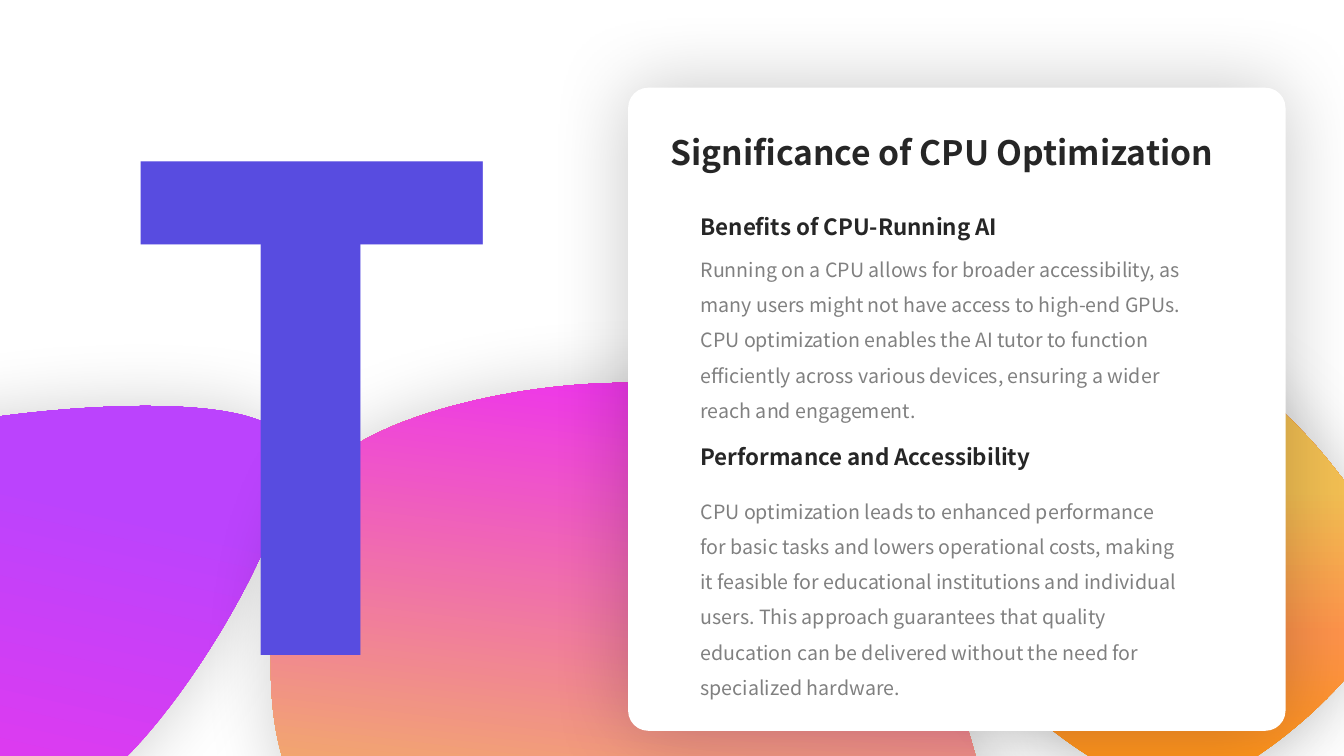
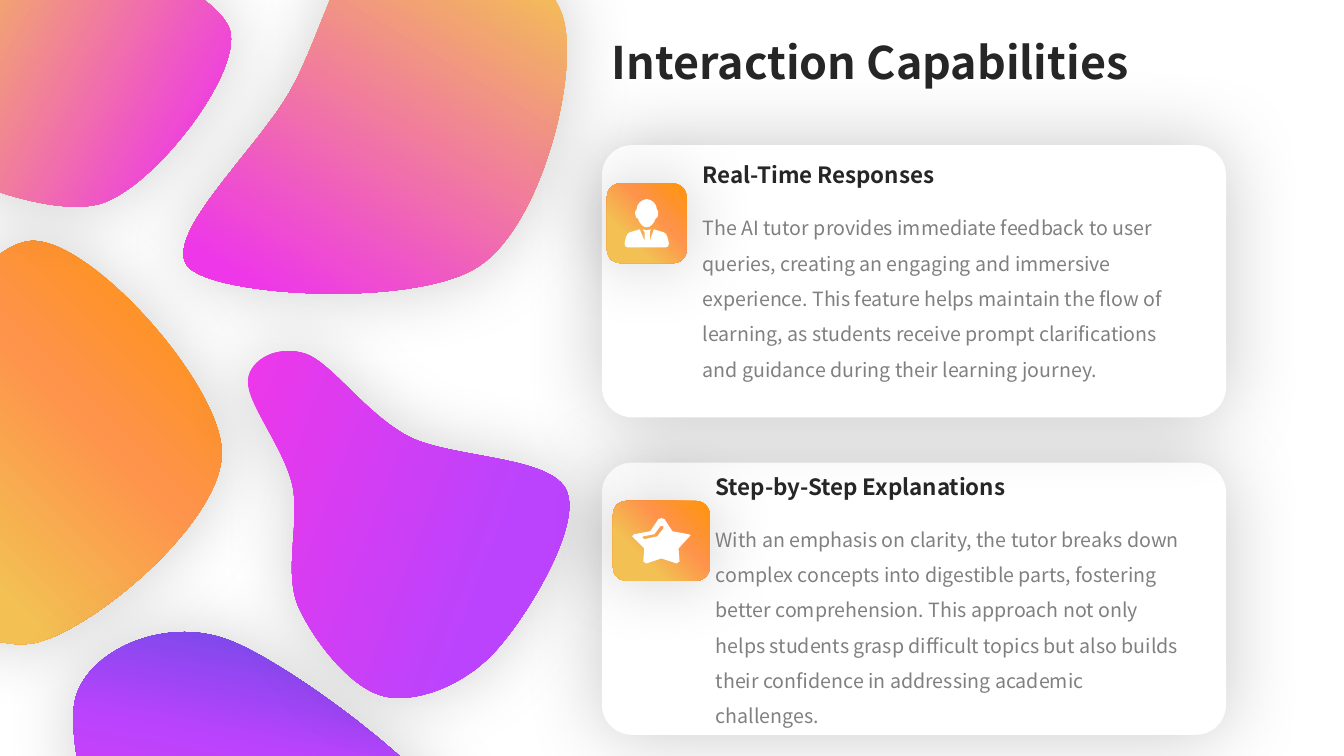
import pptx
import pptx.util
import pptx.dml.color
import pptx.enum.shapes
import pptx.enum.text
import pptx.oxml.ns
import lxml.etree

CELL = pptx.util.Inches(1)
COLS, ROWS = 13.33, 7.5
WHITE, INK, GREY, INDIGO = "FFFFFF", "262626", "808080", "584CE0"
PURPLE, PINK, GOLD = "BB43FD", "EE37E9", "F3C053"
SANS, CONDENSED = "Noto Sans CJK SC", "Roboto Condensed"

ORANGE_STOPS = [(0, "FF9409"), (38, "FE934B"), (71, GOLD)]
SUNSET_STOPS = [(13, GOLD), (88, PINK)]
VIOLET_STOPS = [(0, PINK), (71, PURPLE)]
INDIGO_STOPS = [(0, INDIGO), (41, PURPLE), (86, PINK)]

SOFT_SHADOW, CARD_SHADOW = (18, 51), (22, 58)

TITLE = dict(size=24, color=INK, bold=True)
HEADING = dict(size=16, color=INK, bold=True)
BODY = dict(size=14, color=GREY, spacing=1.5)

PERSON = (44, 48, [
    [(22, 0), (27, 0, 32, 5, 32, 10), (35, 12, 33, 20, 31, 19),
     (29, 25, 25, 28, 22, 28), (19, 28, 15, 25, 13, 19),
     (11, 20, 9, 12, 12, 10), (12, 5, 17, 0, 22, 0)],
    [(15, 30), (20, 42), (20, 33), (18, 30), (20, 31, 24, 31, 26, 30),
     (25, 33), (25, 42), (29, 30), (39, 33), (42, 34, 43, 39, 44, 44),
     (44, 46, 43, 48, 41, 48), (3, 48), (1, 48, 0, 46, 0, 44),
     (1, 39, 2, 34, 5, 33)],
])
STAR = (58, 45, [
    [(58, 17), (56, 16), (40, 13), (32, 1), (29, 0), (26, 1), (18, 13),
     (2, 16), (0, 18), (12, 30), (11, 43), (14, 45), (29, 40), (44, 45),
     (47, 43), (46, 30)],
    [(31, 10), (25, 18), (12, 21), (10, 19), (11, 18), (22, 16), (28, 8),
     (31, 8)],
])

WAVE_BLOBS = [
    ([(-1.49, 4.46), (-0.62, 4.1, 2.44, 3.76, 2.81, 4.34),
      (3.17, 4.91, 1.58, 7.56, 0.71, 7.92),
      (-0.16, 8.28, -2.06, 7.07, -2.44, 6.5),
      (-2.81, 5.92, -2.36, 4.82, -1.49, 4.46)], VIOLET_STOPS, 283),
    ([(6.36, 8.26), (5.22, 8.14, 3.48, 8.51, 2.98, 7.89),
      (2.49, 7.26, 2.6, 5.13, 3.4, 4.5), (4.21, 3.88, 6.75, 3.47, 7.82, 4.15),
      (8.88, 4.84, 10.04, 7.95, 9.79, 8.64),
      (9.55, 9.33, 7.49, 8.39, 6.36, 8.26)], SUNSET_STOPS, 277),
    ([(9.97, 5.82), (10.28, 5.28, 11.18, 3.57, 11.82, 3.57),
      (12.46, 3.57, 13.8, 5.1, 13.81, 5.81),
      (13.82, 6.51, 12.51, 7.63, 11.87, 7.8),
      (11.23, 7.97, 10.28, 7.15, 9.96, 6.82),
      (9.64, 6.5, 9.66, 6.37, 9.97, 5.82)], ORANGE_STOPS, 270),
]
SIDE_BLOBS = [
    ([(-1.4, 4.51), (-1.11, 4, -0.27, 2.39, 0.33, 2.39),
      (0.93, 2.39, 2.2, 3.83, 2.2, 4.49), (2.21, 5.15, 0.98, 6.21, 0.38, 6.37),
      (-0.23, 6.53, -1.12, 5.75, -1.42, 5.45),
      (-1.72, 5.14, -1.69, 5.02, -1.4, 4.51)], ORANGE_STOPS, 135),
    ([(2.27, 6.35), (2.91, 6.59, 4.72, 7.94, 4.63, 8.43),
      (4.54, 8.92, 2.36, 9.55, 1.71, 9.31),
      (1.06, 9.06, 0.65, 7.46, 0.74, 6.97),
      (0.83, 6.47, 1.62, 6.1, 2.27, 6.35)], INDIGO_STOPS, 101),
    ([(-0.99, 1.25), (-1.12, 0.83, -0.28, -0.35, 0.27, -0.51),
      (0.81, -0.67, 2.15, -0.12, 2.28, 0.3), (2.4, 0.72, 1.54, 1.85, 1, 2.02),
      (0.46, 2.18, -0.87, 1.67, -0.99, 1.25)], SUNSET_STOPS, 29),
    ([(2.88, 0.9), (3.21, 0.32, 3.42, -0.7, 3.87, -0.82),
      (4.32, -0.94, 5.44, -0.39, 5.59, 0.19),
      (5.74, 0.76, 5.37, 2.23, 4.75, 2.64), (4.14, 3.05, 2.2, 2.95, 1.88, 2.66),
      (1.57, 2.37, 2.55, 1.49, 2.88, 0.9)], SUNSET_STOPS, 121),
    ([(3.03, 3.51), (3.29, 3.6, 3.62, 4.1, 4.05, 4.33),
      (4.48, 4.55, 5.47, 4.52, 5.62, 4.87), (5.77, 5.22, 5.24, 6.09, 4.94, 6.43),
      (4.64, 6.78, 4.15, 6.98, 3.82, 6.91), (3.49, 6.84, 3.12, 6.37, 2.96, 6.02),
      (2.81, 5.67, 2.98, 5.18, 2.9, 4.81), (2.81, 4.43, 2.44, 3.99, 2.46, 3.77),
      (2.48, 3.56, 2.76, 3.42, 3.03, 3.51)], VIOLET_STOPS, 21),
]


def rgb(value):
    """Turn a hex string into a colour."""
    return pptx.dml.color.RGBColor.from_string(value)


def emu(*cells):
    """Turn grid cells into whole EMU."""
    return [round(c * CELL) for c in cells]


def child(parent, tag, **attrs):
    """Append a DrawingML element with the given attributes."""
    node = lxml.etree.SubElement(parent, pptx.oxml.ns.qn("a:" + tag))
    for name, value in attrs.items():
        node.set(name, str(value))
    return node


def paint(shape, fill, angle=0, shadow=None):
    """Fill a shape with a colour or gradient stops and give it a shadow."""
    spPr = shape.element.spPr
    if isinstance(fill, str):
        shape.fill.solid()
        shape.fill.fore_color.rgb = rgb(fill)
    else:
        shape.fill.gradient()
        shape.fill.gradient_angle = (360 - angle) % 360
        stops = spPr.find(".//" + pptx.oxml.ns.qn("a:gsLst"))
        stops.clear()
        for position, color in fill:
            child(child(stops, "gs", pos=position * 1000), "srgbClr", val=color)
    shape.line.fill.background()
    shape.shadow.inherit = False
    if shadow:
        alpha, blur = shadow
        effects = spPr.find(pptx.oxml.ns.qn("a:effectLst"))
        outer = child(effects, "outerShdw", blurRad=pptx.util.Pt(blur), dist=0,
                      dir=0, algn="ctr", rotWithShape=0)
        child(child(outer, "srgbClr", val="000000"), "alpha", val=alpha * 1000)


def bend(shape, contours):
    """Turn each three vertices of a curved segment into one cubic curve."""
    route = shape.element.spPr.find(".//" + pptx.oxml.ns.qn("a:path"))
    nodes = iter(list(route))
    for contour in contours:
        next(nodes)
        for seg in contour[1:]:
            curve = next(nodes)
            if len(seg) == 6:
                curve.tag = pptx.oxml.ns.qn("a:cubicBezTo")
                for node in (next(nodes), next(nodes)):
                    curve.append(node[0])
                    route.remove(node)
        next(nodes)


def outline(s, contours, left=0, top=0, unit=1):
    """Draw contours, measured in units from a corner, as one freeform."""
    builder = None
    for contour in contours:
        points = [emu(left + seg[i] * unit, top + seg[i + 1] * unit)
                  for seg in contour for i in range(0, len(seg), 2)]
        if builder is None:
            builder = s.shapes.build_freeform(*points[0], scale=1.0)
        else:
            builder.move_to(*points[0])
        builder.add_line_segments(points[1:], close=True)
    shape = builder.convert_to_shape()
    bend(shape, contours)
    return shape


def blobs(s, items):
    """Draw the gradient blobs of a background."""
    for contour, stops, angle in items:
        paint(outline(s, [contour]), stops, angle, SOFT_SHADOW)


def rounded(s, box, fill, shadow, radius=None, angle=0):
    """Draw a rounded rectangle in a box, with a corner radius in cells."""
    kind = pptx.enum.shapes.MSO_SHAPE.ROUNDED_RECTANGLE
    shape = s.shapes.add_shape(kind, *emu(*box))
    if radius:
        shape.adjustments[0] = radius / min(box[2:])
    paint(shape, fill, angle, shadow)


def text(s, box, words, size, color, bold=False, spacing=None, font=SANS, centred=False):
    """Write one paragraph in a box."""
    tf = s.shapes.add_textbox(*emu(*box)).text_frame
    tf.word_wrap = True
    tf.auto_size = pptx.enum.text.MSO_AUTO_SIZE.SHAPE_TO_FIT_TEXT
    tf.text = words
    p = tf.paragraphs[0]
    if spacing:
        p.line_spacing = spacing
    if centred:
        p.alignment = pptx.enum.text.PP_ALIGN.CENTER
    f = p.runs[0].font
    f.name, f.size, f.bold = font, pptx.util.Pt(size), bold
    f.color.rgb = rgb(color)


def icon(s, box, glyph):
    """Draw a gradient tile with a white glyph in its middle."""
    left, top, width, height = box
    cols, rows, contours = glyph
    unit = 0.01
    rounded(s, box, ORANGE_STOPS, SOFT_SHADOW, angle=135)
    paint(outline(s, contours, left + (width - cols * unit) / 2,
                  top + (height - rows * unit) / 2, unit), WHITE)


def topic(s, box, inset, tile_width, text_inset, drop, glyph, heading, body):
    """Fill a card with an icon, a heading and a body text."""
    left, top, width, height = box
    x, w = left + text_inset, width - text_inset - 0.25
    icon(s, (left + inset, top + 0.38, tile_width, 0.79), glyph)
    text(s, (x, top + drop + 0.43, w, 1.68), body, **BODY)
    text(s, (x, top + drop, w, 0.37), heading, **HEADING)


def optimization_slide(s):
    """Build the slide with the large letter and one card."""
    blobs(s, WAVE_BLOBS)
    text(s, (0, -0.44, 6.2, 8.45), "T", 496, INDIGO, True, font=CONDENSED, centred=True)
    left, top, width, height = card = (6.23, 0.87, 6.52, 6.38)
    rounded(s, card, WHITE, CARD_SHADOW, 0.2)
    text(s, (left + 0.32, top + 0.19, 5.78, 0.64),
         "Significance of CPU Optimization", spacing=1.5, **TITLE)
    sections = [
        (1.06, 1.52, 1.5, "Benefits of CPU-Running AI",
         "Running on a CPU allows for broader accessibility, as many users might not "
         "have access to high-end GPUs. CPU optimization enables the AI tutor to function "
         "efficiently across various devices, ensuring a wider reach and engagement."),
        (3.48, 3.92, None, "Performance and Accessibility",
         "CPU optimization leads to enhanced performance for basic tasks and lowers "
         "operational costs, making it feasible for educational institutions and "
         "individual users. This approach guarantees that quality education can be "
         "delivered without the need for specialized hardware."),
    ]
    for head_row, body_row, spacing, heading, body in sections:
        text(s, (left + 0.62, top + body_row, 4.98, 1.68), body, **BODY)
        text(s, (left + 0.62, top + head_row, 4.98, 0.4), heading,
             spacing=spacing, **HEADING)


def interaction_slide(s):
    """Build the slide with side blobs and two stacked cards."""
    upper, lower = [(5.97, 1.44 + i * 3.15, 6.19, 2.7) for i in range(2)]
    rounded(s, lower, WHITE, CARD_SHADOW, 0.3)
    blobs(s, SIDE_BLOBS)
    text(s, (5.97, 0.3, 6.75, 0.64), "Interaction Capabilities", **{**TITLE, "size": 32})
    rounded(s, upper, WHITE, CARD_SHADOW, 0.3)
    topic(s, upper, 0.05, 0.79, 0.9, 0.11, PERSON, "Real-Time Responses",
          "The AI tutor provides immediate feedback to user queries, creating an engaging "
          "and immersive experience. This feature helps maintain the flow of learning, as "
          "students receive prompt clarifications and guidance during their learning "
          "journey.")
    topic(s, lower, 0.11, 0.96, 1.03, 0.05, STAR, "Step-by-Step Explanations",
          "With an emphasis on clarity, the tutor breaks down complex concepts into "
          "digestible parts, fostering better comprehension. This approach not only helps "
          "students grasp difficult topics but also builds their confidence in addressing "
          "academic challenges.")


def main():
    """Build and save the presentation."""
    prs = pptx.Presentation()
    prs.slide_width, prs.slide_height = emu(COLS, ROWS)
    for build in (optimization_slide, interaction_slide):
        build(prs.slides.add_slide(prs.slide_layouts[6]))
    prs.save("out.pptx")


if __name__ == "__main__":
    main()
